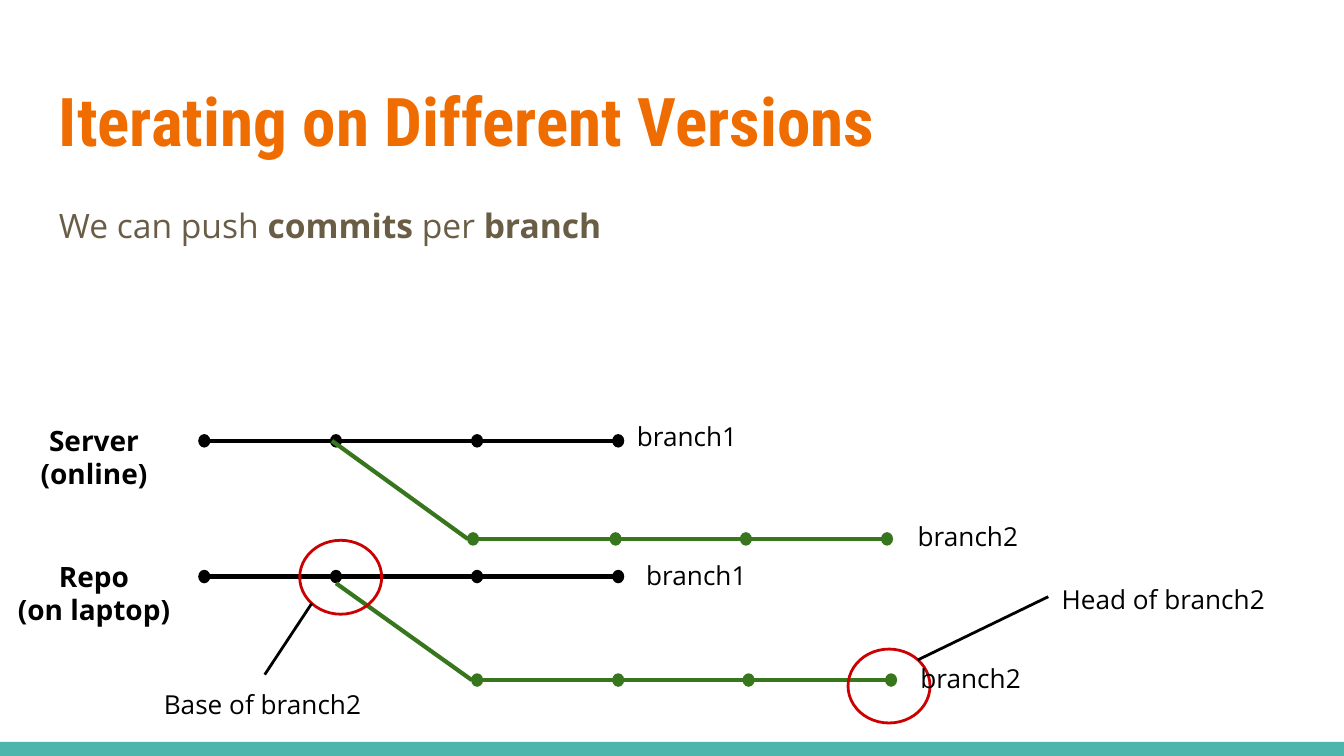
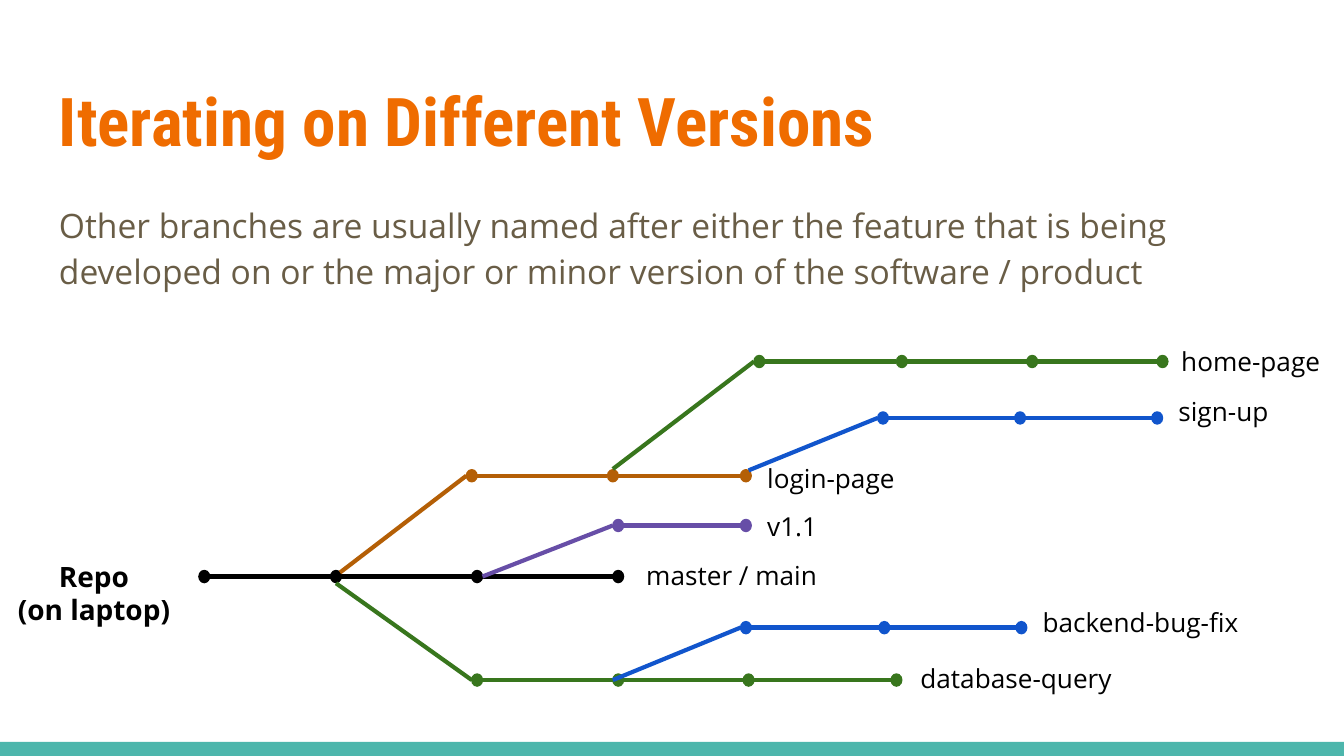
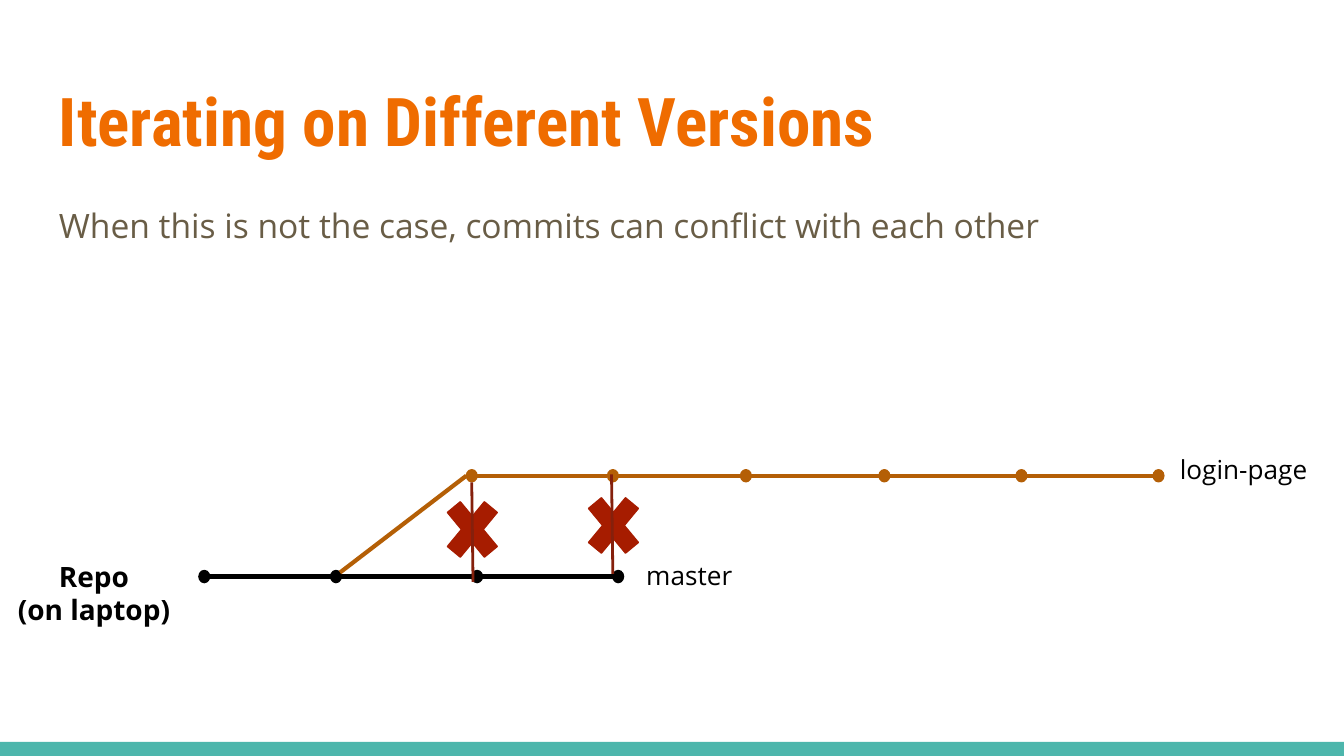
from lxml import etree
from pptx import Presentation
from pptx.dml.color import RGBColor
from pptx.enum.shapes import MSO_CONNECTOR, MSO_SHAPE
from pptx.enum.text import MSO_ANCHOR, PP_ALIGN
from pptx.oxml.ns import qn
from pptx.util import Inches, Pt

STRAIGHT = MSO_CONNECTOR.STRAIGHT
ELLIPSE, RECTANGLE, CROSS = MSO_SHAPE.OVAL, MSO_SHAPE.RECTANGLE, MSO_SHAPE.MATH_MULTIPLY
LEFT, CENTER = PP_ALIGN.LEFT, PP_ALIGN.CENTER
TOP = MSO_ANCHOR.TOP

COLORS = {
    "band": "4DB6AC", "title": "EF6C00", "body": "695D46", "black": "000000",
    "green": "38761D", "brown": "B45F06", "blue": "1155CC", "purple": "674EA7",
    "ring": "CC0000", "cross": "A61C00", "conflict": "85200C",
}
HEADING_FONT, TEXT_FONT = "Roboto Condensed", "Open Sans"
TITLE = "Iterating on Different Versions"
SLIDE_WIDTH, SLIDE_HEIGHT = 10, 5.625
DOT_WIDTH, DOT_HEIGHT = 0.08, 0.09
LABEL_WIDTH = 1.92
MAIN_Y = 4.29
MAIN_DOTS = [1.48, 2.46, 3.51, 4.56]
LOGIN_DOTS = [3.47, 4.52, 5.51]

# Branch: color, fork point or None, line height, left edges of dots, label, label corner
SLIDES = [
    {
        "body": [("We can push ", False), ("commits", True), (" per ", False), ("branch", True)],
        "places": [(3.05, "Server", "(online)"), (4.06, "Repo", "(on laptop)")],
        "branches": [
            ("black", None, 3.28, MAIN_DOTS, "branch1", (4.64, 3.03)),
            ("black", None, MAIN_Y, MAIN_DOTS, "branch1", (4.71, 4.06)),
            ("green", (2.5, 4.34), 5.06, [3.51, 4.56, 5.53, 6.59], "branch2", (6.75, 4.83)),
            ("green", (2.47, 3.28), 4.01, [3.48, 4.54, 5.51, 6.56], "branch2", (6.73, 3.77)),
        ],
        # Ring corner, pointer start, pointer end, label, label corner
        "callouts": [
            ((2.23, 4.02), (2.32, 4.49), (1.97, 5.02), "Base of branch2", (1.12, 5.02)),
            ((6.31, 4.83), (6.83, 4.91), (7.8, 4.44), "Head of branch2", (7.8, 4.24)),
        ],
        "conflicts": [],
    },
    {
        "body": [("Other branches are usually named after either the feature that is being "
                  "developed on or the major or minor version of the software / product", False)],
        "places": [(4.06, "Repo", "(on laptop)")],
        "branches": [
            ("black", None, MAIN_Y, MAIN_DOTS, "master / main", (4.71, 4.06)),
            ("green", (2.5, 4.34), 5.06, [3.51, 4.56, 5.53, 6.63], "database-query", (6.75, 4.83)),
            ("brown", (2.53, 4.26), 3.54, LOGIN_DOTS, "login-page", (5.61, 3.34)),
            ("blue", (4.56, 5.06), 4.67, [5.51, 6.54, 7.56], "backend-bug-fix", (7.66, 4.41)),
            ("purple", (3.59, 4.29), 3.91, [4.56, 5.51], "v1.1", (5.61, 3.7)),
            ("blue", (5.57, 3.5), 3.11, [6.53, 7.55, 8.57], "sign-up", (8.67, 2.84)),
            ("green", (4.56, 3.49), 2.69, [5.61, 6.67, 7.64, 8.61], "home-page", (8.69, 2.47)),
        ],
        "callouts": [],
        "conflicts": [],
    },
    {
        "body": [("When this is not the case, commits can conflict with each other", False)],
        "places": [(4.06, "Repo", "(on laptop)")],
        "branches": [
            ("black", None, MAIN_Y, MAIN_DOTS, "master", (4.71, 4.06)),
            ("brown", (2.53, 4.26), 3.54, LOGIN_DOTS + [6.54, 7.56, 8.58],
             "login-page", (8.68, 3.27)),
        ],
        "callouts": [],
        # Cross corner, line start
        "conflicts": [((3.25, 3.62), (3.51, 3.59)), ((4.3, 3.59), (4.55, 3.53))],
    },
]

presentation = Presentation()
presentation.slide_width = Inches(SLIDE_WIDTH)
presentation.slide_height = Inches(SLIDE_HEIGHT)


def add_text(slide, box, paragraphs, size, color, font=TEXT_FONT, align=LEFT, spacing=None):
    """Add a text box; each paragraph is a list of (text, bold) runs."""
    frame = slide.shapes.add_textbox(*map(Inches, box)).text_frame
    frame.word_wrap = True
    frame.vertical_anchor = TOP
    frame.margin_left = frame.margin_right = Inches(0.1)
    frame.margin_top = frame.margin_bottom = Inches(0.1)
    for index, runs in enumerate(paragraphs):
        paragraph = frame.add_paragraph() if index else frame.paragraphs[0]
        paragraph.alignment = align
        if spacing:
            paragraph.line_spacing = spacing
        for text, bold in runs:
            run = paragraph.add_run()
            run.text = text
            run.font.name = font
            run.font.size = Pt(size)
            run.font.bold = bold
            run.font.color.rgb = RGBColor.from_string(COLORS[color])


def add_drawn(slide, kind, box, line, width, fill=None):
    """Add a connector from (x1, y1, x2, y2), or a shape at (left, top, width, height)."""
    lengths = [Inches(value) for value in box]
    if kind is STRAIGHT:
        shape = slide.shapes.add_connector(kind, *lengths)
        etree.SubElement(shape._element.spPr, qn("a:effectLst"))
    else:
        shape = slide.shapes.add_shape(kind, *lengths)
        shape.shadow.inherit = False
        if fill:
            shape.fill.solid()
            shape.fill.fore_color.rgb = RGBColor.from_string(COLORS[fill])
        else:
            shape.fill.background()
    if line:
        shape.line.color.rgb = RGBColor.from_string(COLORS[line])
        shape.line.width = Pt(width)
    else:
        shape.line.fill.background()
    return shape


for content in SLIDES:
    slide = presentation.slides.add_slide(presentation.slide_layouts[6])
    add_drawn(slide, RECTANGLE, (0, 5.52, SLIDE_WIDTH, SLIDE_HEIGHT - 5.52), None, 0, "band")
    add_text(slide, (0.34, 0.49, 9.32, 0.77), [[(TITLE, True)]], 36, "title", HEADING_FONT)
    add_text(slide, (0.34, 1.38, 9.32, 0.8), [content["body"]], 18, "body", spacing=1.15)

    for top, name, location in content["places"]:
        add_text(slide, (0, top, 1.4, 0.77), [[(name, True)], [(location, True)]],
                 15, "black", align=CENTER)

    labels = []
    for color, fork, y, dots, label, corner in content["branches"]:
        if fork:
            add_drawn(slide, STRAIGHT, (*fork, dots[0], y), color, 2.25)
        for start, end in zip(dots, dots[1:]):
            add_drawn(slide, STRAIGHT, (start + DOT_WIDTH / 2, y, end, y), color, 2.25)
        for x in dots:
            add_drawn(slide, ELLIPSE, (x, y - DOT_HEIGHT / 2, DOT_WIDTH, DOT_HEIGHT),
                      color, 0.75, color)
        labels.append((label, corner))

    for ring, start, end, label, corner in content["callouts"]:
        add_drawn(slide, ELLIPSE, (*ring, 0.61, 0.55), "ring", 1.5)
        add_drawn(slide, STRAIGHT, (*start, *end), "black", 1.5)
        labels.append((label, corner))

    for corner, (x, y) in content["conflicts"]:
        cross = add_drawn(slide, CROSS, (*corner, 0.53, 0.64), "cross", 0.75, "cross")
        cross.adjustments[0] = 0.235
        add_drawn(slide, STRAIGHT, (x, y, x + 0.01, y + 0.74), "conflict", 1.5)

    for label, (x, y) in labels:
        width = min(LABEL_WIDTH, SLIDE_WIDTH - x)
        add_text(slide, (x, y, width, 0.39), [[(label, False)]], 14, "black")

presentation.save("out.pptx")
